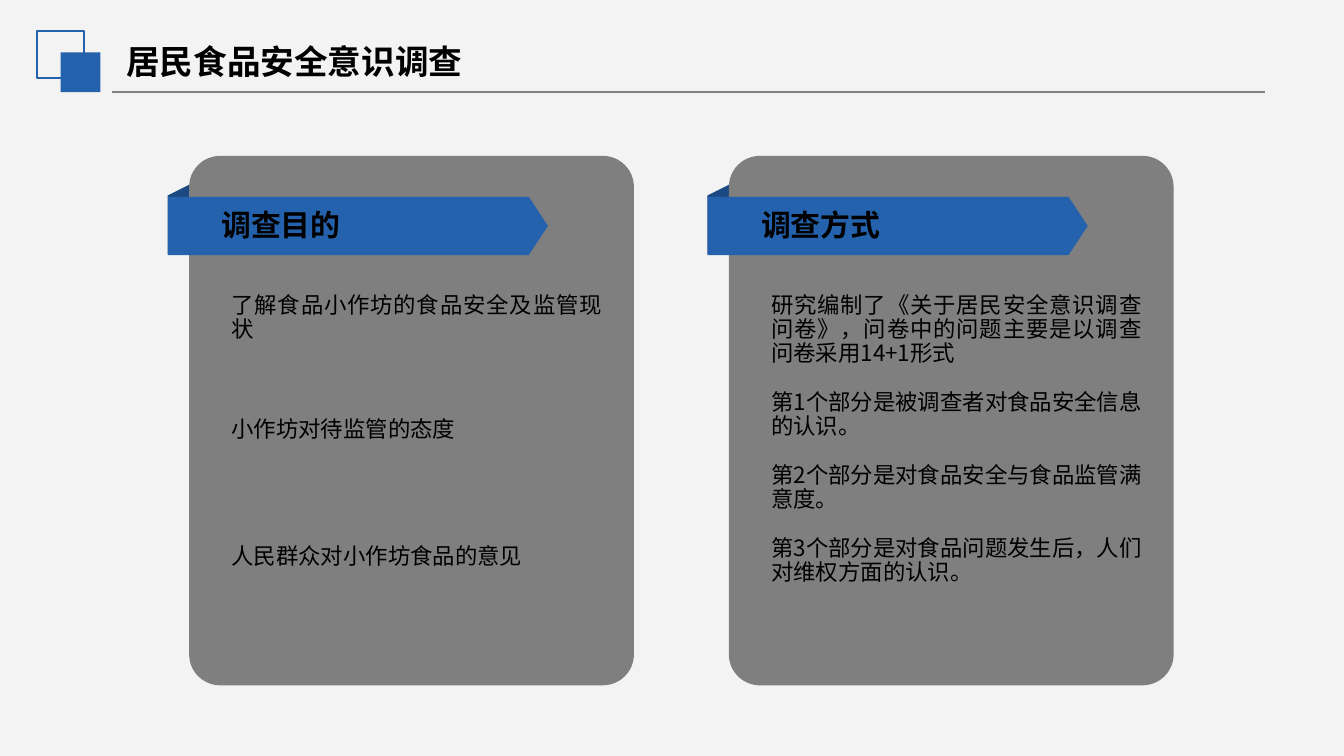
"""Builds the slide on the aims and method of a food safety survey."""
from lxml import etree
from pptx import Presentation
from pptx.dml.color import RGBColor
from pptx.enum.shapes import MSO_CONNECTOR, MSO_SHAPE
from pptx.enum.text import MSO_ANCHOR, PP_ALIGN
from pptx.oxml.ns import qn
from pptx.util import Inches, Pt

RECTANGLE = MSO_SHAPE.RECTANGLE
ROUNDED = MSO_SHAPE.ROUNDED_RECTANGLE
PENTAGON = MSO_SHAPE.PENTAGON
PARALLELOGRAM = MSO_SHAPE.FLOWCHART_DATA
STRAIGHT = MSO_CONNECTOR.STRAIGHT
MIDDLE, TOP = MSO_ANCHOR.MIDDLE, MSO_ANCHOR.TOP
LEFT, JUSTIFY = PP_ALIGN.LEFT, PP_ALIGN.JUSTIFY

BACKGROUND = RGBColor(0xF3, 0xF3, 0xF3)
BLUE = RGBColor(0x24, 0x62, 0xAD)
DARK_BLUE = RGBColor(0x1B, 0x4A, 0x82)
CARD_GRAY = RGBColor(0x7F, 0x7F, 0x7F)
RULE_GRAY = RGBColor(0x80, 0x80, 0x80)
BLACK = RGBColor(0, 0, 0)
FONT = "Noto Sans CJK SC"

CELL = Inches(0.1)
COLUMNS, ROWS = 100, 56.25
CARD_PITCH = 40.16
LINE_PITCH = Pt(13)

CARDS = [
    ("调查目的", [
        (21.85, 3.6, ["了解食品小作坊的食品安全及监管现状"]),
        (31.1, 1.8, ["小作坊对待监管的态度"]),
        (40.55, 1.8, ["人民群众对小作坊食品的意见"]),
    ]),
    ("调查方式", [
        (21.85, 23.7, [
            "研究编制了《关于居民安全意识调查问卷》，问卷中的问题主要是以调查问卷采用14+1形式",
            "第1个部分是被调查者对食品安全信息的认识。",
            "第2个部分是对食品安全与食品监管满意度。",
            "第3个部分是对食品问题发生后，人们对维权方面的认识。",
        ]),
    ]),
]

presentation = Presentation()
presentation.slide_width = int(COLUMNS * CELL)
presentation.slide_height = int(ROWS * CELL)
slide = presentation.slides.add_slide(presentation.slide_layouts[6])
slide.background.fill.solid()
slide.background.fill.fore_color.rgb = BACKGROUND


def add_block(kind, *box, fill=None):
    block = slide.shapes.add_shape(kind, *(int(n * CELL) for n in box))
    block.shadow.inherit = False
    if fill is None:
        block.fill.background()
    else:
        block.fill.solid()
        block.fill.fore_color.rgb = fill
        block.line.fill.background()
    return block


def add_text(lines, *box, size, bold=False, align=LEFT, anchor=TOP, inset=0, spacing=None):
    frame = slide.shapes.add_textbox(*(int(n * CELL) for n in box)).text_frame
    frame.word_wrap = True
    frame.vertical_anchor = anchor
    frame.margin_left = frame.margin_right = 0
    frame.margin_top = frame.margin_bottom = int(inset * CELL)
    frame.text = "\n".join(lines)
    for paragraph in frame.paragraphs:
        paragraph.alignment = align
        paragraph.line_spacing = spacing
        paragraph.space_after = spacing
        paragraph.font.size = Pt(size)
        paragraph.font.bold = bold
        paragraph.font.color.rgb = BLACK
        paragraph.font.name = FONT
        defaults = paragraph._p.pPr.find(qn("a:defRPr"))
        etree.SubElement(defaults, qn("a:ea"), typeface=FONT)


rule = slide.shapes.add_connector(STRAIGHT, *(int(n * CELL) for n in (8.3, 6.84, 94.1, 6.84)))
rule.line.color.rgb = RULE_GRAY
rule.line.width = Pt(0.75)
etree.SubElement(rule._element.spPr, qn("a:effectLst"))

open_square = add_block(RECTANGLE, 2.75, 2.28, 3.52, 3.52)
open_square.line.color.rgb = BLUE
open_square.line.width = Pt(1)
add_block(RECTANGLE, 4.52, 3.9, 2.95, 2.95, fill=BLUE)
add_text(["居民食品安全意识调查"], 9.4, 2.2, 26.4, 4.7, size=18, bold=True, anchor=MIDDLE, inset=0.5)

for index, (heading, passages) in enumerate(CARDS):
    x = 14.07 + index * CARD_PITCH
    fold = add_block(PARALLELOGRAM, x - 3.25, 15.1, 5.5, 2.2, fill=DARK_BLUE)
    fold.rotation = 270
    fold._element.spPr.xfrm.set("flipH", "1")
    card = add_block(ROUNDED, x, 11.6, 33.1, 39.4, fill=CARD_GRAY)
    card.adjustments[0] = 0.07
    banner = add_block(PENTAGON, x - 1.57, 14.65, 28.27, 4.33, fill=BLUE)
    banner.adjustments[0] = 0.33
    add_text([heading], x + 2.4, 15.4, 18.6, 2.7, size=16, bold=True)
    for top, height, lines in passages:
        add_text(lines, x + 3.15, top, 27.6, height, size=12, align=JUSTIFY, spacing=LINE_PITCH)

presentation.save("out.pptx")
